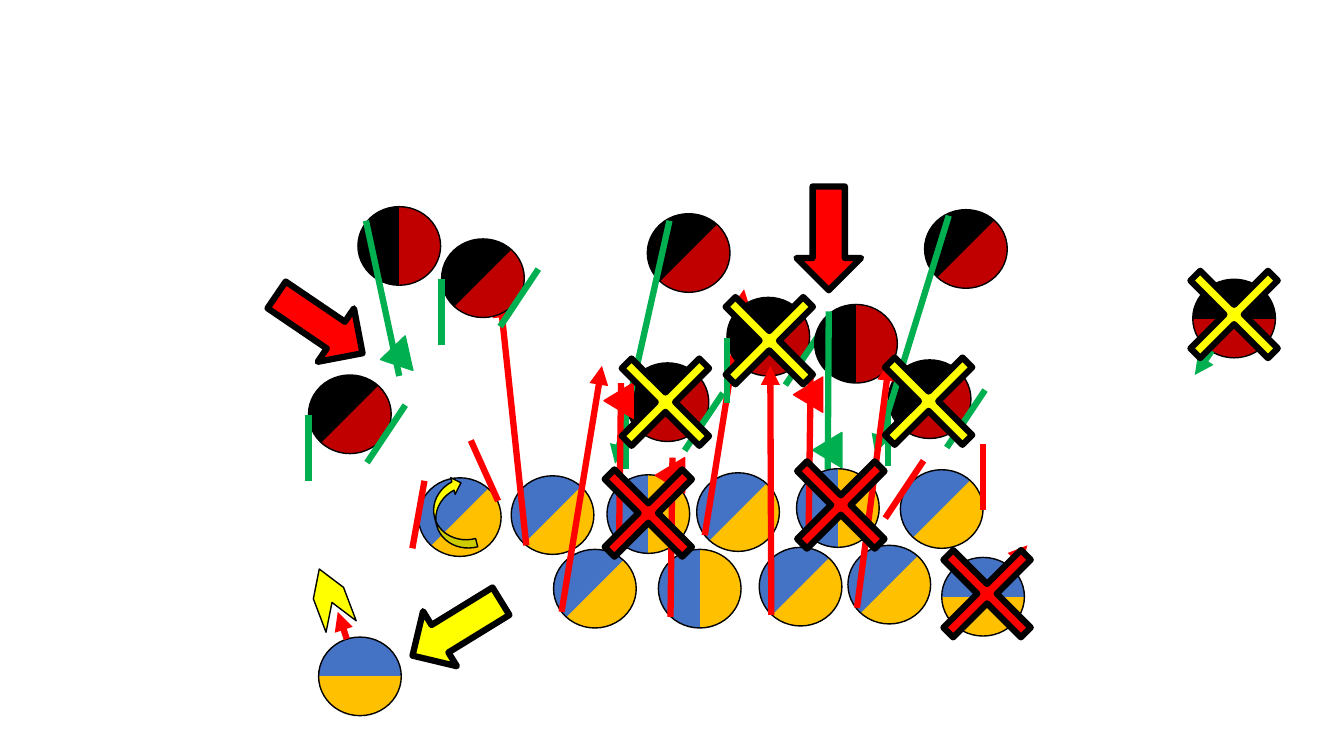
from dataclasses import dataclass

import pptx
import pptx.dml.color
import pptx.enum.dml
import pptx.enum.shapes
import pptx.oxml
import pptx.oxml.ns
import pptx.util
from lxml import etree

Inches = pptx.util.Inches
Preset = pptx.enum.shapes.MSO_SHAPE


@dataclass(frozen=True)
class Theme:
    black: str = "000000"
    red: str = "FF0000"
    yellow: str = "FFFF00"
    thin: float = 1
    thick: float = 4.5


@dataclass(frozen=True)
class Team:
    first_half: str
    second_half: str
    route: str


@dataclass(frozen=True)
class Route:
    x1: float
    y1: float
    x2: float
    y2: float
    arrow: bool = False


@dataclass(frozen=True)
class Wedge:
    left: float
    top: float
    rotation: float = 270


@dataclass(frozen=True)
class Player:
    team: Team
    left: float
    top: float
    split: float
    routes: tuple[Route, ...]
    wedge: Wedge | None = None


@dataclass(frozen=True)
class Mark:
    preset: Preset
    left: float
    top: float
    width: float
    height: float
    fill: str
    outline: float
    rotation: float = 0
    adjustment: float | None = None
    flipped: bool = False


THEME = Theme()
OFFENSE = Team("4472C4", "FFC000", THEME.red)
DEFENSE = Team(THEME.black, "C00000", "00B050")
DIAGONAL, SIDES, HALVES = 315, 0, 270


def runner(team: Team, left: float, top: float, split: float,
           x1: float, y1: float, x2: float, y2: float) -> Player:
    return Player(team, left, top, split, (Route(x1, y1, x2, y2, True),))


def gap_defender(left: float, top: float) -> Player:
    return Player(DEFENSE, left, top, DIAGONAL, (
        Route(left + 0.58, top + 0.87, left + 0.96, top + 0.3),
        Route(left, top + 0.4, left, top + 1.05)))


def lead_blocker(left: float, top: float) -> Player:
    return Player(OFFENSE, left, top, SIDES,
                  (Route(left + 0.12, top + 0.67, left + 0.14, top - 0.91),),
                  Wedge(left - 0.06, top - 0.88))


def cross(left: float, top: float, fill: str) -> Mark:
    return Mark(Preset.MATH_MULTIPLY, left, top, 1.48, 1.48, fill,
                THEME.thick, adjustment=0.092)


def pointer(left: float, top: float, fill: str, rotation: float = 0) -> Mark:
    return Mark(Preset.DOWN_ARROW, left, top, 0.64, 1.03, fill, THEME.thick, rotation)


PLAYERS = (
    runner(OFFENSE, 5.07, 4.72, DIAGONAL, 5.22, 5.41, 4.96, 2.96),
    runner(OFFENSE, 6.91, 4.69, DIAGONAL, 6.99, 5.31, 7.38, 2.87),
    runner(DEFENSE, 11.83, 2.77, HALVES, 12.02, 3.48, 11.85, 3.72),
    gap_defender(7.21, 2.95),
    gap_defender(3.06, 3.72),
    gap_defender(8.81, 3.57),
    gap_defender(6.21, 3.6),
    runner(DEFENSE, 9.17, 2.08, DIAGONAL, 9.41, 2.14, 8.68, 4.5),
    runner(DEFENSE, 6.42, 2.12, DIAGONAL, 6.64, 2.19, 6.1, 4.6),
    Player(DEFENSE, 3.55, 2.05, SIDES, (Route(3.63, 2.19, 3.96, 3.73),),
           Wedge(3.74, 3.39, 257.4)),
    Player(DEFENSE, 8.08, 3.02, SIDES, (Route(8.22, 3.09, 8.21, 4.66),),
           Wedge(8.03, 4.32)),
    gap_defender(4.38, 2.37),
    lead_blocker(6.02, 4.71),
    runner(OFFENSE, 3.16, 6.32, HALVES, 3.44, 6.34, 3.35, 6.07),
    lead_blocker(7.9, 4.65),
    runner(OFFENSE, 7.53, 5.43, DIAGONAL, 7.65, 6.1, 7.64, 3.63),
    runner(OFFENSE, 5.49, 5.45, DIAGONAL, 5.57, 6.07, 5.97, 3.63),
    runner(OFFENSE, 9.34, 5.53, HALVES, 10, 5.62, 10.19, 5.41),
    runner(OFFENSE, 8.41, 5.41, DIAGONAL, 8.5, 6.03, 8.82, 3.59),
    lead_blocker(6.53, 5.45),
    Player(OFFENSE, 8.93, 4.66, DIAGONAL,
           (Route(9.16, 4.57, 8.78, 5.14), Route(9.75, 5.06, 9.75, 4.4))),
    Player(OFFENSE, 4.15, 4.74, DIAGONAL,
           (Route(4.21, 4.77, 4.09, 5.44), Route(4.94, 4.97, 4.67, 4.37))),
)

MARKS = (
    cross(9.05, 5.15, THEME.red),
    Mark(Preset.CHEVRON, 2.97, 5.77, 0.61, 0.32, THEME.yellow, THEME.thin, 249.2, 0.798),
    Mark(Preset.CURVED_LEFT_ARROW, 4.31, 4.74, 0.34, 0.74, THEME.yellow, THEME.thin,
         345.3, flipped=True),
    pointer(2.85, 2.7, THEME.red, 304.2),
    cross(11.5, 2.38, THEME.yellow),
    cross(7.6, 4.27, THEME.red),
    cross(5.69, 4.35, THEME.red),
    cross(8.47, 3.24, THEME.yellow),
    cross(5.86, 3.25, THEME.yellow),
    cross(6.89, 2.64, THEME.yellow),
    pointer(4.21, 5.72, THEME.yellow, 58.4),
    pointer(7.9, 1.85, THEME.red),
)


def rgb(value: str) -> pptx.dml.color.RGBColor:
    return pptx.dml.color.RGBColor.from_string(value)


def set_line(line: pptx.dml.line.LineFormat, color: str, width: float) -> None:
    line.color.rgb = rgb(color)
    line.width = pptx.util.Pt(width)


def draw_mark(shapes, mark: Mark, line_color: str = THEME.black):
    shape = shapes.add_shape(mark.preset, Inches(mark.left), Inches(mark.top),
                             Inches(mark.width), Inches(mark.height))
    shape.shadow.inherit = False
    shape.rotation = mark.rotation
    shape.fill.solid()
    shape.fill.fore_color.rgb = rgb(mark.fill)
    set_line(shape.line, line_color, mark.outline)
    if mark.adjustment is not None:
        shape.adjustments[0] = mark.adjustment
    if mark.flipped:
        for flip in ("flipH", "flipV"):
            shape._element.spPr.xfrm.set(flip, "1")
    return shape


def draw_route(shapes, route: Route, color: str) -> None:
    connector = shapes.add_connector(
        pptx.enum.shapes.MSO_CONNECTOR.STRAIGHT,
        Inches(route.x1), Inches(route.y1), Inches(route.x2), Inches(route.y2))
    set_line(connector.line, color, THEME.thick)
    if route.arrow:
        etree.SubElement(connector.line._get_or_add_ln(),
                         pptx.oxml.ns.qn("a:tailEnd"), type="triangle")
    etree.SubElement(connector._element.spPr, pptx.oxml.ns.qn("a:effectLst"))


def draw_player(shapes, player: Player) -> None:
    team = player.team
    members = shapes.add_group_shape().shapes
    body = draw_mark(members, Mark(Preset.OVAL, player.left, player.top, 0.82, 0.78,
                                   team.first_half, THEME.thin))
    body.fill.gradient()
    body.fill.gradient_angle = player.split
    for stop, color in zip(body.fill.gradient_stops, (team.first_half, team.second_half)):
        stop.position = 0.5
        stop.color.rgb = rgb(color)
    for route in player.routes:
        draw_route(members, route, team.route)
    if player.wedge:
        wedge = player.wedge
        draw_mark(members, Mark(Preset.ISOSCELES_TRIANGLE, wedge.left, wedge.top, 0.35, 0.29,
                                team.route, THEME.thin, wedge.rotation), team.route)


def main() -> None:
    deck = pptx.Presentation()
    deck.slide_width, deck.slide_height = Inches(13.33), Inches(7.5)
    field = deck.slides.add_slide(deck.slide_layouts[6])
    for player in PLAYERS:
        draw_player(field.shapes, player)
    for mark in MARKS:
        draw_mark(field.shapes, mark)
    deck.save("out.pptx")


if __name__ == "__main__":
    main()
